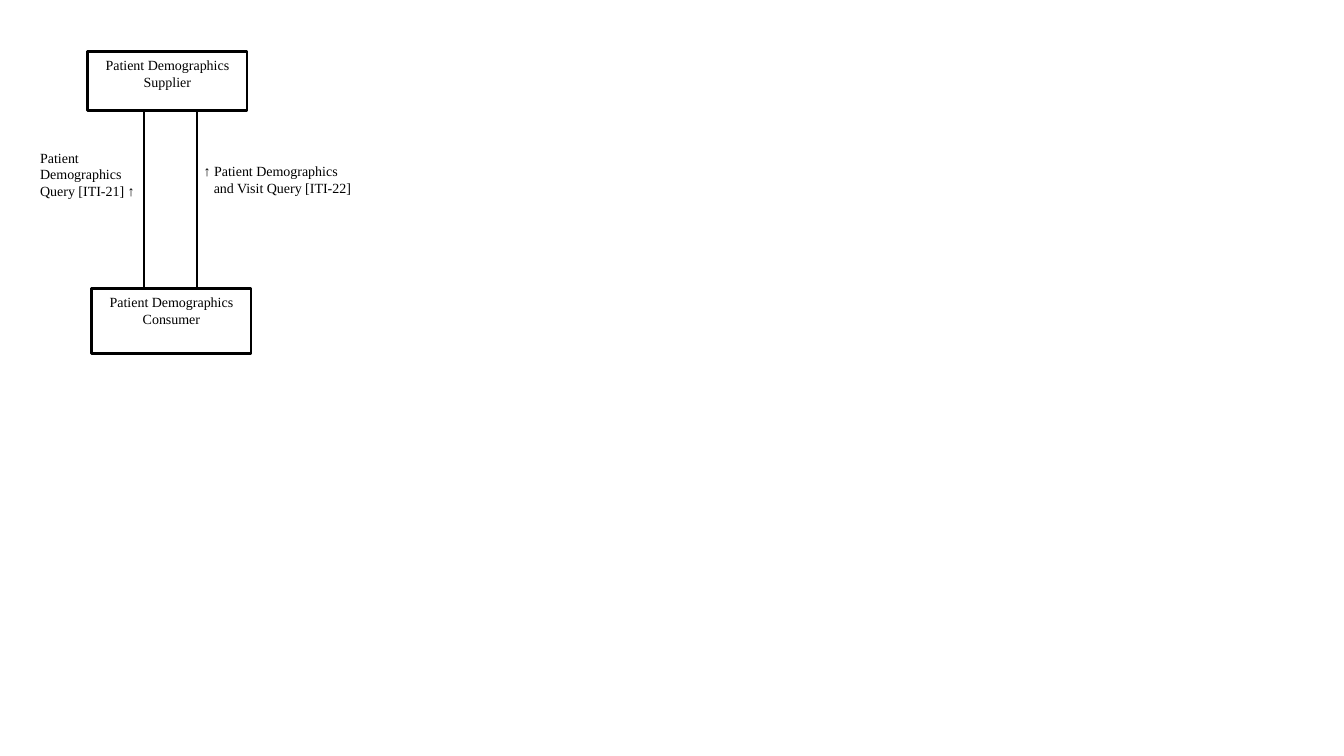
from lxml import etree
from pptx import Presentation
from pptx.dml.color import RGBColor
from pptx.enum.shapes import MSO_CONNECTOR, MSO_SHAPE
from pptx.enum.text import MSO_ANCHOR, PP_ALIGN
from pptx.oxml.ns import qn
from pptx.util import Inches, Pt

BLACK = RGBColor(0x00, 0x00, 0x00)
WHITE = RGBColor(0xFF, 0xFF, 0xFF)


def write_lines(shape, lines, alignment):
    """Fill the shape with one paragraph, its lines split by line breaks."""
    frame = shape.text_frame
    frame.word_wrap = True
    frame.vertical_anchor = MSO_ANCHOR.TOP
    paragraph = frame.paragraphs[0]
    paragraph.alignment = alignment
    for index, line in enumerate(lines):
        if index:
            paragraph.add_line_break()
        run = paragraph.add_run()
        run.text = line
        run.font.name = "Times New Roman"
        run.font.size = Pt(10)
        run.font.color.rgb = BLACK
    return paragraph


presentation = Presentation()
presentation.slide_width = Inches(13.33)
presentation.slide_height = Inches(7.5)
slide = presentation.slides.add_slide(presentation.slide_layouts[6])
shapes = slide.shapes

# Transaction lines, running behind the actor boxes
for x, top in [(1.43, 1.04), (1.95, 0.91)]:
    transaction = shapes.add_connector(
        MSO_CONNECTOR.STRAIGHT, Inches(x), Inches(top), Inches(x), Inches(2.99))
    transaction.line.color.rgb = BLACK
    transaction.line.width = Pt(1.5)
    etree.SubElement(transaction._element.spPr, qn("a:effectLst"))

# Actor boxes
for left, top, height, role in [(0.87, 0.51, 0.59, "Supplier"),
                                (0.91, 2.86, 0.65, "Consumer")]:
    actor = shapes.add_shape(MSO_SHAPE.RECTANGLE, Inches(left), Inches(top),
                             Inches(1.58), Inches(height))
    actor.shadow.inherit = False
    actor.fill.solid()
    actor.fill.fore_color.rgb = WHITE
    actor.line.color.rgb = BLACK
    actor.line.width = Pt(2)
    write_lines(actor, [f"Patient Demographics {role}"], PP_ALIGN.CENTER)

# Transaction labels
query_label = shapes.add_textbox(Inches(0.3), Inches(1.43), Inches(1.36), Inches(0.65))
write_lines(query_label, ["Patient", "Demographics Query [ITI-21] ↑"], PP_ALIGN.LEFT)

visit_label = shapes.add_textbox(Inches(2.02), Inches(1.61), Inches(1.49), Inches(0.52))
visit_frame = visit_label.text_frame
visit_frame.margin_left = visit_frame.margin_right = 0
visit_frame.margin_top = visit_frame.margin_bottom = 0
visit_paragraph = write_lines(
    visit_label, ["↑ Patient Demographics", "and Visit Query [ITI-22]"], PP_ALIGN.LEFT)
# Hanging indent lines the second line up after the arrow
properties = visit_paragraph._p.get_or_add_pPr()
properties.set("marL", str(Inches(0.1)))
properties.set("indent", str(-Inches(0.1)))

presentation.save("out.pptx")
